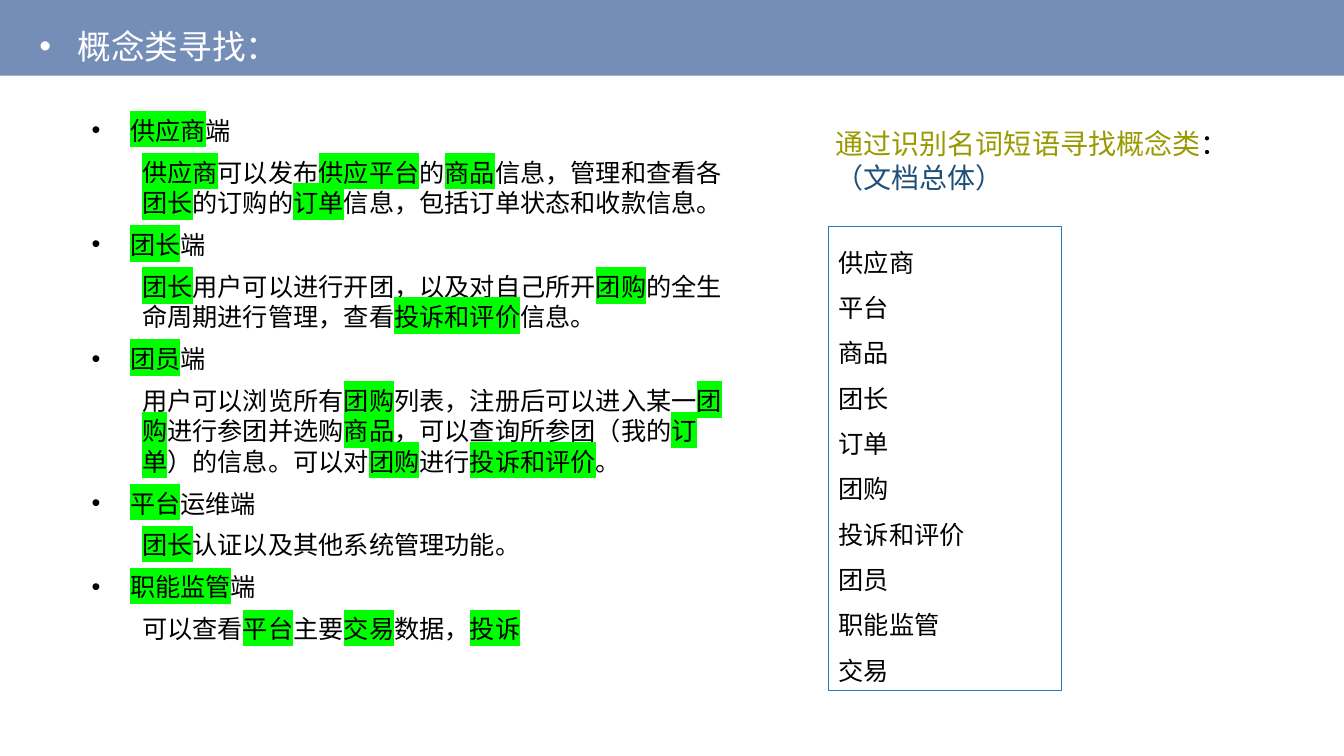
import pptx
import pptx.util
import pptx.dml.color
import pptx.enum.shapes
import pptx.enum.text
import pptx.oxml
import pptx.oxml.ns

FONT = "Noto Sans CJK SC"
BLACK, WHITE, GREEN = "000000", "FFFFFF", "00FF00"
BAR, OLIVE, NAVY, BORDER = "758EB8", "999900", "1F4E79", "2E75B6"
WIDTH, HEIGHT = 13.33, 7.5
LINE_RATIO = 1.2

TITLE = "概念类寻找："
HEADING = [[("通过识别名词短语寻找概念类", OLIVE), ("：", BLACK)], [("（文档总体）", NAVY)]]
CONCEPTS = ["供应商", "平台", "商品", "团长", "订单", "团购", "投诉和评价", "团员", "职能监管", "交易"]
ROLES = [
    ("[供应商]端",
     "[供应商]可以发布[供应平台]的[商品]信息，管理和查看各[团长]的订购的[订单]信息，包括订单状态和收款信息。"),
    ("[团长]端",
     "[团长]用户可以进行开团，以及对自己所开[团购]的全生命周期进行管理，查看[投诉和评价]信息。"),
    ("[团员]端",
     "用户可以浏览所有[团购]列表，注册后可以进入某一[团购]进行参团并选购[商品]，"
     "可以查询所参团（我的[订单]）的信息。可以对[团购]进行[投诉和评价]。"),
    ("[平台]运维端", "[团长]认证以及其他系统管理功能。"),
    ("[职能监管]端", "可以查看[平台]主要[交易]数据，[投诉]"),
]


def color(value):
    return pptx.dml.color.RGBColor.from_string(value)


def place(shape, left, top, width, height):
    shape.left, shape.top, shape.width, shape.height = (
        pptx.util.Inches(length) for length in (left, top, width, height))


def prepare(box, left_inset=0.1):
    frame = box.text_frame
    frame.word_wrap = True
    frame.auto_size = pptx.enum.text.MSO_AUTO_SIZE.NONE
    frame.vertical_anchor = pptx.enum.text.MSO_ANCHOR.TOP
    frame.margin_left = pptx.util.Inches(left_inset)
    frame.margin_right = pptx.util.Inches(0.1)
    frame.margin_top = frame.margin_bottom = pptx.util.Inches(0.05)
    return frame


def add_xml(parent, tag, **attributes):
    element = pptx.oxml.parse_xml(f"<a:{tag} {pptx.oxml.ns.nsdecls('a')}/>")
    for name, value in attributes.items():
        element.set(name, value)
    parent.append(element)
    return element


def add_para(frame, spans, size, spacing=1, after=0, indent=0, bullet=False):
    first = frame.paragraphs[0]
    para = first if not first.runs else frame.add_paragraph()
    para.alignment = pptx.enum.text.PP_ALIGN.LEFT
    para.line_spacing = pptx.util.Pt(size * LINE_RATIO * spacing)
    para.space_before = pptx.util.Pt(0)
    para.space_after = pptx.util.Pt(after)
    properties = para._p.get_or_add_pPr()
    margin = pptx.util.Inches(indent)
    properties.set("marL", str(margin))
    properties.set("indent", str(-margin if bullet else 0))
    if bullet:
        add_xml(properties, "buFont", typeface="Arial")
        add_xml(properties, "buChar", char="•")
    else:
        add_xml(properties, "buNone")
    for text, text_color, marked in spans:
        span = para.add_run()
        span.text = text
        span.font.size = pptx.util.Pt(size)
        span.font.color.rgb = color(text_color)
        character = span.font._element
        if marked:
            add_xml(add_xml(character, "highlight"), "srgbClr", val=GREEN)
        for script in ("latin", "ea"):
            add_xml(character, script, typeface=FONT)


def marked_spans(text):
    pieces = text.replace("]", "[").split("[")
    return [(piece, BLACK, index % 2 == 1) for index, piece in enumerate(pieces) if piece]


def main():
    deck = pptx.Presentation()
    deck.slide_width = pptx.util.Inches(WIDTH)
    deck.slide_height = pptx.util.Inches(HEIGHT)
    page = deck.slides.add_slide(deck.slide_layouts[1])
    title, body = page.shapes.title, page.placeholders[1]
    rectangle = pptx.enum.shapes.MSO_SHAPE.RECTANGLE

    bar = page.shapes.add_shape(rectangle, 0, 0, deck.slide_width, pptx.util.Inches(HEIGHT / 10))
    bar.shadow.inherit = False
    bar.fill.solid()
    bar.fill.fore_color.rgb = color(BAR)
    bar.line.fill.background()
    title.element.addprevious(bar.element)

    place(title, 0.39, 0.21, 2.6, 0.5)
    add_para(prepare(title, 0), [(TITLE, WHITE, False)], 24, indent=0.38, bullet=True)

    place(body, 0.81, 1.09, 6.67, 5.76)
    frame = prepare(body)
    for role, duty in ROLES:
        add_para(frame, marked_spans(role), 18, after=8.4, indent=0.38, bullet=True)
        add_para(frame, marked_spans(duty), 18, after=8.4, indent=0.5)

    heading = page.shapes.add_textbox(0, 0, 0, 0)
    place(heading, 8.19, 1.21, 4.61, 0.77)
    frame = prepare(heading)
    for line in HEADING:
        add_para(frame, [(text, tint, False) for text, tint in line], 20)

    concepts = page.shapes.add_shape(rectangle, 0, 0, 0, 0)
    place(concepts, 8.22, 2.25, 2.31, 0.45 * len(CONCEPTS) + 0.1)
    concepts.shadow.inherit = False
    concepts.fill.background()
    concepts.line.color.rgb = color(BORDER)
    concepts.line.width = pptx.util.Pt(0.75)
    frame = prepare(concepts)
    for concept in CONCEPTS:
        add_para(frame, [(concept, BLACK, False)], 18, spacing=1.5)

    deck.save("out.pptx")


if __name__ == "__main__":
    main()
